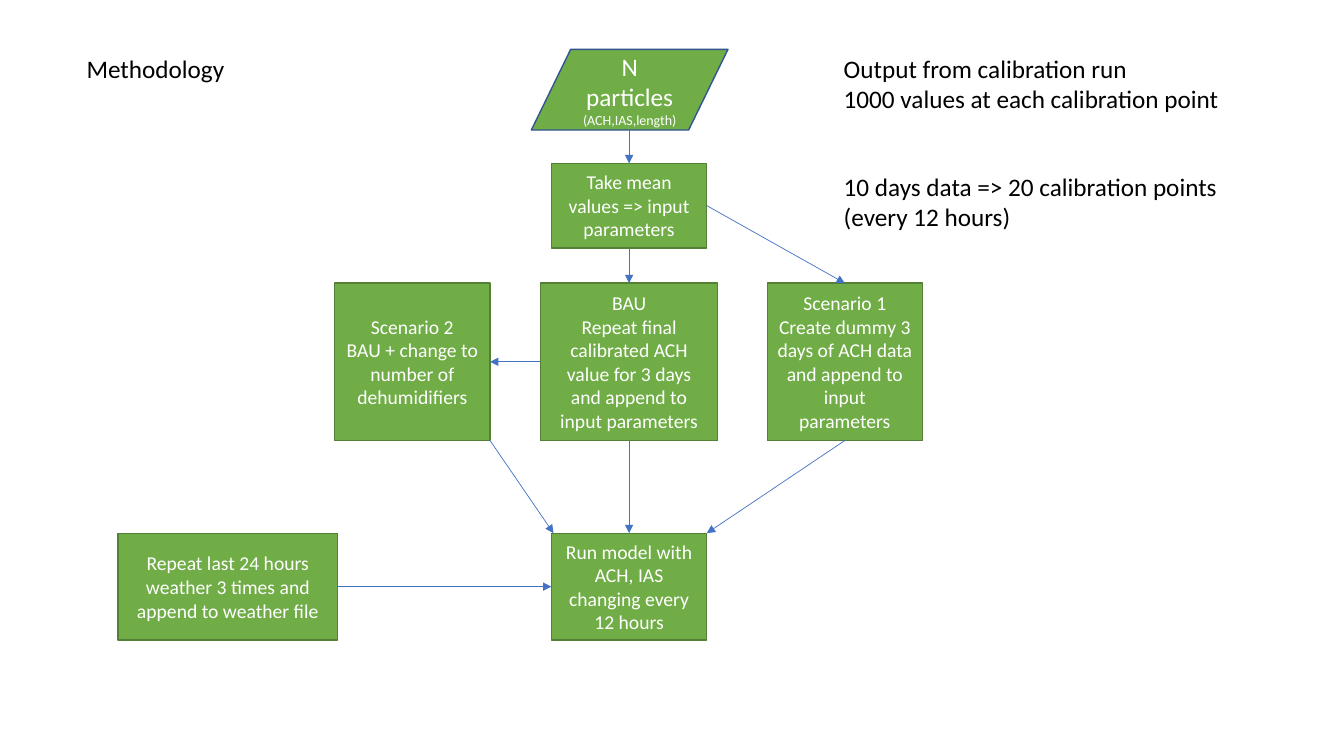
from dataclasses import dataclass

from lxml import etree
from pptx import Presentation
from pptx.dml.color import RGBColor
from pptx.enum.shapes import MSO_CONNECTOR, MSO_SHAPE
from pptx.enum.text import MSO_ANCHOR, MSO_AUTO_SIZE, PP_ALIGN
from pptx.oxml.ns import qn
from pptx.util import Pt

RECT = MSO_SHAPE.RECTANGLE
DATA = MSO_SHAPE.FLOWCHART_DATA
STRAIGHT = MSO_CONNECTOR.STRAIGHT
MIDDLE = MSO_ANCHOR.MIDDLE
CENTER = PP_ALIGN.CENTER
GROW = MSO_AUTO_SIZE.SHAPE_TO_FIT_TEXT
TOP, LEFT, BOTTOM, RIGHT = range(4)
PX = 9144


@dataclass(frozen=True)
class Theme:
    """Colours, font and type sizes of the slide."""
    font: str = "Calibri"
    ink: RGBColor = RGBColor(0, 0, 0)
    white: RGBColor = RGBColor(255, 255, 255)
    green: RGBColor = RGBColor.from_string("70AD47")
    green_edge: RGBColor = RGBColor.from_string("538035")
    blue_edge: RGBColor = RGBColor.from_string("325491")
    arrow: RGBColor = RGBColor.from_string("4472C4")
    large: int = 18
    body: int = 14
    small: int = 10
    edge_width: float = 1
    arrow_width: float = 0.5


class Flowchart:
    """Draws flowchart elements on one slide in one theme."""

    def __init__(self, slide, theme):
        self.s = slide
        self.t = theme

    def style(self, p, size, color):
        """Set the font of a paragraph."""
        p.font.name = self.t.font
        p.font.size = Pt(size)
        p.font.color.rgb = color

    def note(self, x, y, w, h, lines, wrap=False):
        """Add a text box with one paragraph per line."""
        tf = self.s.shapes.add_textbox(x * PX, y * PX, w * PX, h * PX).text_frame
        tf.word_wrap = wrap
        tf.auto_size = GROW
        tf.text = "\n".join(lines)
        for p in tf.paragraphs:
            self.style(p, self.t.large, self.t.ink)

    def shape(self, kind, x, y, w, h, edge):
        """Add a green shape with an outline."""
        sp = self.s.shapes.add_shape(kind, x * PX, y * PX, w * PX, h * PX)
        sp.shadow.inherit = False
        sp.fill.solid()
        sp.fill.fore_color.rgb = self.t.green
        sp.line.color.rgb = edge
        sp.line.width = Pt(self.t.edge_width)
        sp.text_frame.word_wrap = True
        sp.text_frame.vertical_anchor = MIDDLE
        return sp

    def step(self, x, y, w, h, *lines):
        """Add a process box with centred text."""
        sp = self.shape(RECT, x, y, w, h, self.t.green_edge)
        sp.text_frame.text = "\n".join(lines)
        for p in sp.text_frame.paragraphs:
            p.alignment = CENTER
            self.style(p, self.t.body, self.t.white)
        return sp

    def data(self, x, y, w, h, title, detail):
        """Add a data shape with a title and a smaller detail."""
        sp = self.shape(DATA, x, y, w, h, self.t.blue_edge)
        p = sp.text_frame.paragraphs[0]
        p.alignment = CENTER
        self.style(p, self.t.large, self.t.white)
        p.add_run().text = title
        r = p.add_run()
        r.text = detail
        r.font.size = Pt(self.t.small)

    def arrow(self, start, end):
        """Add an arrow between ends given as (x, y) or (box, side)."""
        c = self.s.shapes.add_connector(STRAIGHT, 0, 0, 0, 0)
        if isinstance(start[0], int):
            c.begin_x, c.begin_y = (v * PX for v in start)
        else:
            c.begin_connect(*start)
        if isinstance(end[0], int):
            c.end_x, c.end_y = (v * PX for v in end)
        else:
            c.end_connect(*end)
        c.line.color.rgb = self.t.arrow
        c.line.width = Pt(self.t.arrow_width)
        etree.SubElement(c.line._get_or_add_ln(), qn("a:tailEnd"), type="triangle")
        etree.SubElement(c._element.spPr, qn("a:effectLst"))


def main():
    """Build the methodology slide."""
    prs = Presentation()
    prs.slide_width, prs.slide_height = 1333 * PX, 750 * PX
    chart = Flowchart(prs.slides.add_slide(prs.slide_layouts[6]), Theme())

    chart.note(76, 48, 158, 40, ["Methodology"])
    chart.note(827, 48, 396, 71, ["Output from calibration run",
                                  "1000 values at each calibration point"])
    chart.note(827, 165, 390, 71,
               ["10 days data => 20 calibration points (every 12 hours)"], wrap=True)

    chart.data(527, 49, 195, 80, "N particles ", "(ACH,IAS,length)")
    mean = chart.step(547, 162, 154, 84, "Take mean values => input parameters")
    model = chart.step(547, 529, 154, 106,
                       "Run model with ACH, IAS changing every 12 hours")
    weather = chart.step(117, 529, 218, 106,
                         "Repeat last 24 hours weather 3 times and append to weather file")
    scenario1 = chart.step(761, 281, 154, 156, "Scenario 1",
                           "Create dummy 3 days of ACH data and append to input parameters")
    bau = chart.step(536, 281, 176, 156, "BAU",
                     "Repeat final calibrated ACH value for 3 days and append to input parameters")
    scenario2 = chart.step(332, 281, 154, 156, "Scenario 2",
                           "BAU + change to number of dehumidifiers")

    for start, end in [
        ((624, 129), (mean, TOP)),
        ((mean, BOTTOM), (bau, TOP)),
        ((bau, LEFT), (scenario2, RIGHT)),
        ((mean, RIGHT), (scenario1, TOP)),
        ((scenario1, BOTTOM), (701, 529)),
        ((bau, BOTTOM), (model, TOP)),
        ((486, 437), (549, 529)),
        ((weather, RIGHT), (model, LEFT)),
    ]:
        chart.arrow(start, end)

    prs.save("out.pptx")


if __name__ == "__main__":
    main()
